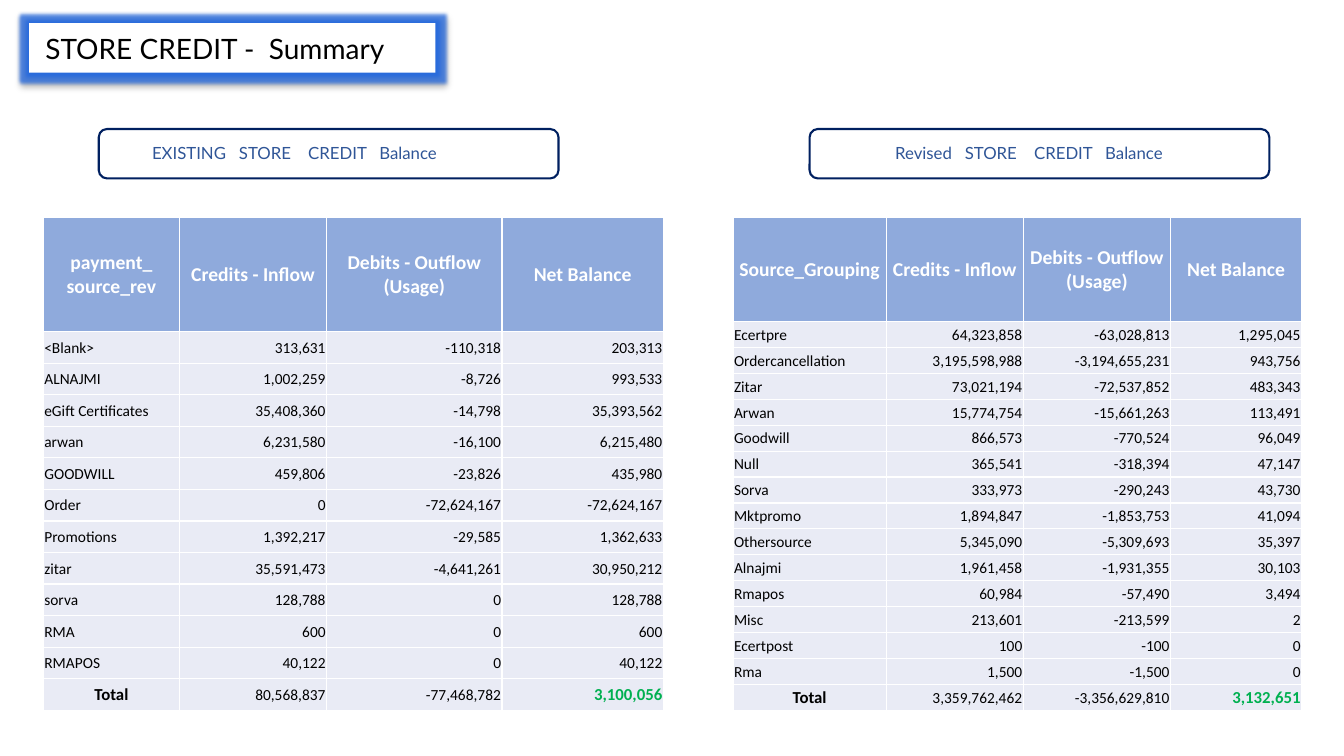
from dataclasses import dataclass

from lxml.etree import SubElement
from pptx import Presentation
from pptx.dml.color import RGBColor
from pptx.enum.shapes import MSO_SHAPE as Shape
from pptx.enum.text import MSO_ANCHOR as Anchor, PP_ALIGN as Align
from pptx.oxml.ns import qn
from pptx.slide import Slide
from pptx.table import _Cell as Cell
from pptx.text.text import TextFrame
from pptx.util import Inches, Pt

WHITE = RGBColor(0xFF, 0xFF, 0xFF)
BLACK = RGBColor(0x00, 0x00, 0x00)
NAVY = RGBColor(0x00, 0x20, 0x60)
BLUE = RGBColor(0x2F, 0x55, 0x97)
GLOW_BLUE = RGBColor(0x22, 0x68, 0xE0)
HEADER_BLUE = RGBColor(0x8F, 0xAA, 0xDC)
ROW_GREY = RGBColor(0xE9, 0xEB, 0xF5)
GREEN = RGBColor(0x00, 0xB0, 0x50)

TABLE_TOP = 2.16
TABLE_HEIGHT = 4.89
BANNER_TOP = 1.28


@dataclass
class Balance:
    """One side of the summary: a banner above a table ending in a total."""
    banner: str
    banner_left: float
    text_left: float
    table_left: float
    widths: tuple[float, ...]
    header_height: float
    source_title: str
    rows: list[tuple[str, str, str, str]]


BALANCES = [
    Balance(
        "EXISTING   STORE    CREDIT   Balance", 0.98, 1.41, 0.43,
        (1.35, 1.46, 1.74, 1.6), 1.13, "payment_\nsource_rev",
        [
            ("<Blank>", "313,631", "-110,318", "203,313"),
            ("ALNAJMI", "1,002,259", "-8,726", "993,533"),
            ("eGift Certificates", "35,408,360", "-14,798", "35,393,562"),
            ("arwan", "6,231,580", "-16,100", "6,215,480"),
            ("GOODWILL", "459,806", "-23,826", "435,980"),
            ("Order", "0", "-72,624,167", "-72,624,167"),
            ("Promotions", "1,392,217", "-29,585", "1,362,633"),
            ("zitar", "35,591,473", "-4,641,261", "30,950,212"),
            ("sorva", "128,788", "0", "128,788"),
            ("RMA", "600", "0", "600"),
            ("RMAPOS", "40,122", "0", "40,122"),
            ("Total", "80,568,837", "-77,468,782", "3,100,056"),
        ],
    ),
    Balance(
        "Revised   STORE    CREDIT   Balance", 8.03, 8.78, 7.27,
        (1.52, 1.36, 1.46, 1.3), 1.03, "Source_Grouping",
        [
            ("Ecertpre", "64,323,858", "-63,028,813", "1,295,045"),
            ("Ordercancellation", "3,195,598,988", "-3,194,655,231", "943,756"),
            ("Zitar", "73,021,194", "-72,537,852", "483,343"),
            ("Arwan", "15,774,754", "-15,661,263", "113,491"),
            ("Goodwill", "866,573", "-770,524", "96,049"),
            ("Null", "365,541", "-318,394", "47,147"),
            ("Sorva", "333,973", "-290,243", "43,730"),
            ("Mktpromo", "1,894,847", "-1,853,753", "41,094"),
            ("Othersource", "5,345,090", "-5,309,693", "35,397"),
            ("Alnajmi", "1,961,458", "-1,931,355", "30,103"),
            ("Rmapos", "60,984", "-57,490", "3,494"),
            ("Misc", "213,601", "-213,599", "2"),
            ("Ecertpost", "100", "-100", "0"),
            ("Rma", "1,500", "-1,500", "0"),
            ("Total", "3,359,762,462", "-3,356,629,810", "3,132,651"),
        ],
    ),
]


def write(tf: TextFrame, text: str, size: int, font: str, color: RGBColor,
          align: Align = Align.LEFT, bold: bool = False) -> None:
    tf.text = text
    for p in tf.paragraphs:
        p.alignment = align
        for r in p.runs:
            r.font.size = Pt(size)
            r.font.name = font
            r.font.bold = bold
            r.font.color.rgb = color


def add_effect_color(effect, color: RGBColor, opacity: int) -> None:
    clr = SubElement(effect, qn("a:srgbClr"), val=str(color))
    SubElement(clr, qn("a:alpha"), val=str(opacity * 1000))


def add_title(slide: Slide) -> None:
    sp = slide.shapes.add_shape(Shape.RECTANGLE, Inches(0.29), Inches(0.23),
                                Inches(4.03), Inches(0.49))
    sp.fill.solid()
    sp.fill.fore_color.rgb = WHITE
    sp.line.fill.background()
    sp.shadow.inherit = False
    effects = sp._element.spPr.find(qn("a:effectLst"))
    glow = SubElement(effects, qn("a:glow"), rad=str(Pt(5)))
    add_effect_color(glow, GLOW_BLUE, 75)
    shadow = SubElement(effects, qn("a:outerShdw"), blurRad=str(Pt(3.5)),
                        dist=str(Pt(2.2)), dir="5400000", rotWithShape="0")
    add_effect_color(shadow, BLACK, 32)
    tf = sp.text_frame
    tf.vertical_anchor = Anchor.MIDDLE
    tf.margin_left = Inches(0.16)
    write(tf, "STORE CREDIT -  Summary", 20, "Lato", BLACK)


def add_banner(slide: Slide, balance: Balance) -> None:
    sp = slide.shapes.add_shape(Shape.ROUNDED_RECTANGLE, Inches(balance.banner_left),
                                Inches(BANNER_TOP), Inches(4.56), Inches(0.49))
    sp.fill.background()
    sp.line.color.rgb = NAVY
    sp.line.width = Pt(1.5)
    sp.shadow.inherit = False
    box = slide.shapes.add_textbox(Inches(balance.text_left), Inches(BANNER_TOP + 0.09),
                                   Inches(3.7), Inches(0.3))
    box.text_frame.word_wrap = True
    write(box.text_frame, balance.banner, 12, "Lato", BLUE)


def style_cell(cell: Cell, fill: RGBColor) -> None:
    """Set white borders, narrow margins and the fill."""
    tc_pr = cell._tc.get_or_add_tcPr()
    for side in ("lnL", "lnR", "lnT", "lnB"):
        ln = SubElement(tc_pr, qn(f"a:{side}"), w=str(Pt(1)))
        solid = SubElement(ln, qn("a:solidFill"))
        SubElement(solid, qn("a:srgbClr"), val=str(WHITE))
    cell.fill.solid()
    cell.fill.fore_color.rgb = fill
    cell.vertical_anchor = Anchor.MIDDLE
    cell.margin_left = cell.margin_right = cell.margin_top = Inches(0.01)
    cell.margin_bottom = 0


def add_balance_table(slide: Slide, balance: Balance) -> None:
    titles = (balance.source_title, "Credits - Inflow",
              "Debits - Outflow (Usage)", "Net Balance")
    rows = [titles, *balance.rows]
    last_row, last_col = len(rows) - 1, len(titles) - 1
    table = slide.shapes.add_table(
        len(rows), len(titles), Inches(balance.table_left), Inches(TABLE_TOP),
        Inches(sum(balance.widths)), Inches(TABLE_HEIGHT)).table
    for column, width in zip(table.columns, balance.widths):
        column.width = Inches(width)
    row_height = (TABLE_HEIGHT - balance.header_height) / last_row
    for i, values in enumerate(rows):
        table.rows[i].height = Inches(row_height if i else balance.header_height)
        for j, text in enumerate(values):
            cell = table.cell(i, j)
            style_cell(cell, ROW_GREY if i else HEADER_BLUE)
            size, color, bold = 11, BLACK, False
            align = Align.RIGHT if j else Align.LEFT
            if i == 0:
                size, color, bold, align = 14, WHITE, True, Align.CENTER
            elif i == last_row and j == 0:
                size, bold, align = 12, True, Align.CENTER
            elif i == last_row and j == last_col:
                size, color, bold = 12, GREEN, True
            write(cell.text_frame, text, size, "Calibri", color, align, bold)


def main() -> None:
    prs = Presentation()
    prs.slide_width, prs.slide_height = Inches(13.33), Inches(7.5)
    slide = prs.slides.add_slide(prs.slide_layouts[6])
    add_title(slide)
    for balance in BALANCES:
        add_balance_table(slide, balance)
        add_banner(slide, balance)
    prs.save("out.pptx")


if __name__ == "__main__":
    main()
